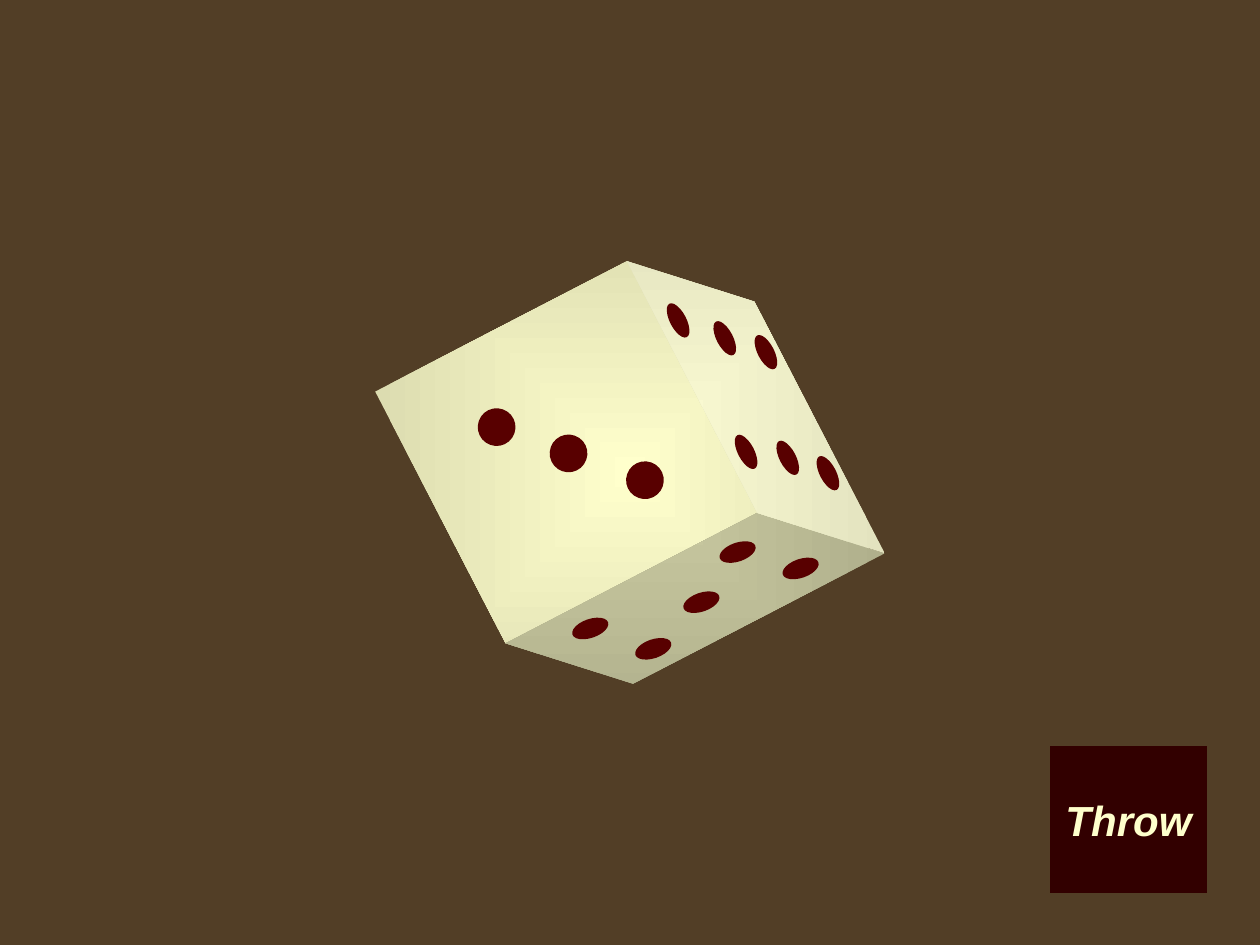
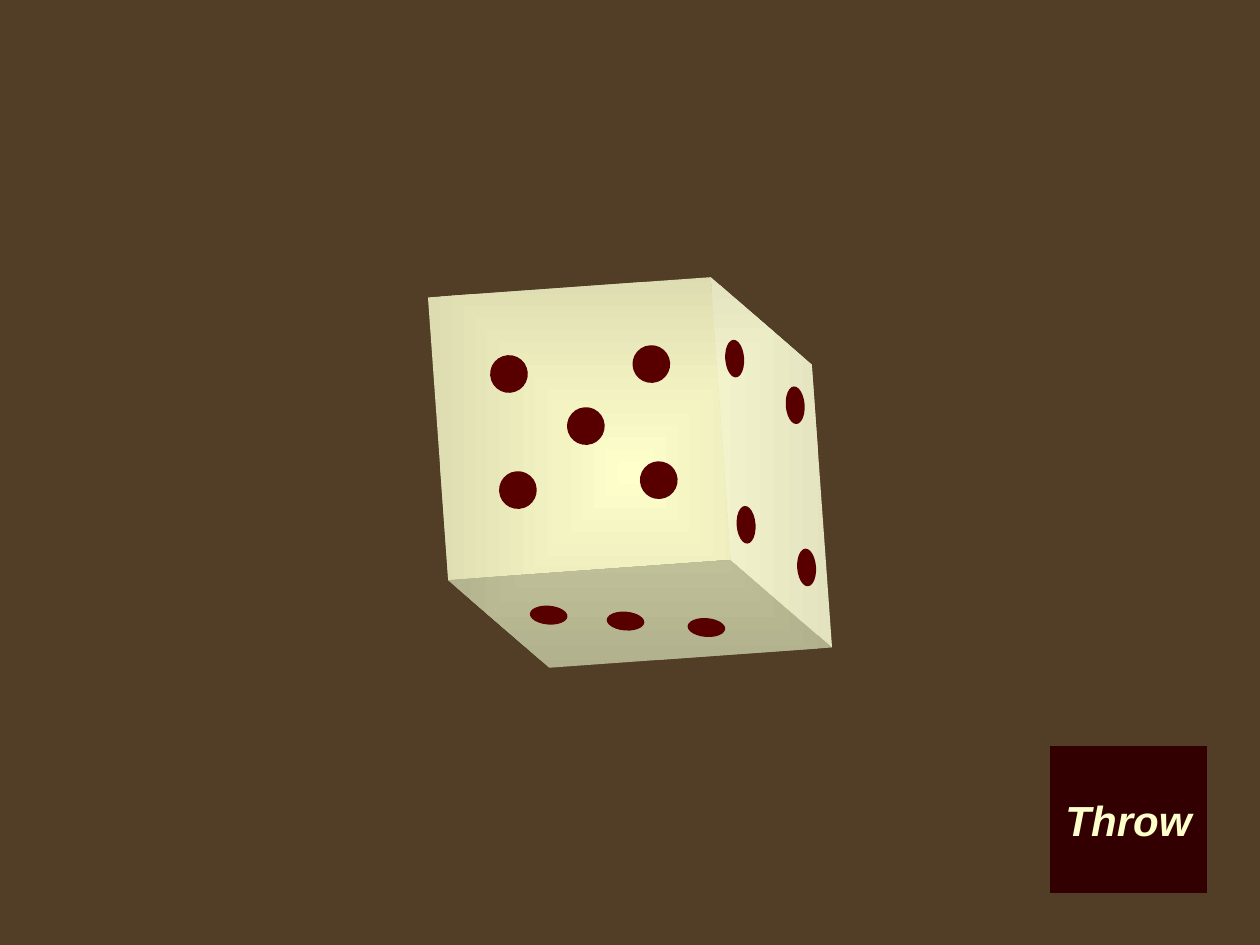
from dataclasses import dataclass

from lxml import etree
from pptx import Presentation
from pptx import util as u
from pptx.dml.color import RGBColor
from pptx.enum import shapes, text
from pptx.oxml.ns import qn


@dataclass(frozen=True)
class Theme:
    table: RGBColor = RGBColor.from_string("523E26")
    ivory: RGBColor = RGBColor.from_string("FFFFCC")
    ivory_edge: RGBColor = RGBColor.from_string("DCDCB0")
    pip: RGBColor = RGBColor.from_string("580000")
    button: RGBColor = RGBColor.from_string("320000")
    font: str = "Arial"
    button_size: int = 24


CUBE_SIDE = 7.62
ROUND, SLIM, FLAT, NARROW = (0.76, 0.76), (0.76, 0.33), (0.76, 0.38), (0.38, 0.76)

# Each throw: tilt of the cube, then its faces as (pip size, pip tilt, pip centres in cm)
THROWS = [
    (62.6, [
        (ROUND, 109.4, [(10.01, 8.61), (11.46, 9.14), (13, 9.68)]),
        (SLIM, 62.6, [(13.67, 6.46), (14.61, 6.82), (15.44, 7.1),
                      (15.04, 9.11), (15.88, 9.23), (16.69, 9.54)]),
        (NARROW, 71, [(14.87, 11.13), (16.14, 11.46), (14.14, 12.14),
                      (11.9, 12.67), (13.17, 13.08)]),
    ]),
    (85.9, [
        (ROUND, 85.9, [(10.26, 7.54), (13.13, 7.34), (11.81, 8.59),
                       (10.44, 9.88), (13.28, 9.68)]),
        (NARROW, 94.4, [(11.06, 12.4), (12.61, 12.52), (14.24, 12.65)]),
        (FLAT, 85.9, [(14.81, 7.23), (16.03, 8.17), (15.04, 10.58), (16.26, 11.44)]),
    ]),
]


class DiceDeck:
    def __init__(self, theme):
        self.theme = theme
        self.prs = Presentation()
        self.prs.slide_width, self.prs.slide_height = u.Cm(25.4), u.Cm(19.05)
        self.s = None

    def new_slide(self):
        self.s = self.prs.slides.add_slide(self.prs.slide_layouts[6])
        fill = self.s.background.fill
        fill.solid()
        fill.fore_color.rgb = self.theme.table

    def shape(self, kind, centre, size, color=None, tilt=0):
        """Add a borderless shape around its centre, in cm."""
        (x, y), (w, h) = centre, size
        sp = self.s.shapes.add_shape(
            kind, u.Cm(x - w / 2), u.Cm(y - h / 2), u.Cm(w), u.Cm(h))
        sp.rotation = tilt
        sp.shadow.inherit = False
        sp.line.fill.background()
        if color is not None:
            sp.fill.solid()
            sp.fill.fore_color.rgb = color
        return sp

    def cube(self, tilt):
        sp = self.shape(shapes.MSO_SHAPE.CUBE, (12.7, 9.525),
                        (CUBE_SIDE, CUBE_SIDE), tilt=tilt)
        sp.adjustments[0] = 0.25
        self.glow(sp)

    def glow(self, sp):
        """Fill with a gradient that spreads from the centre and ignores rotation."""
        sp.fill.gradient()
        stops = sp.fill.gradient_stops
        for stop, position, color in zip(
                stops, (0, 1), (self.theme.ivory, self.theme.ivory_edge)):
            stop.position = position
            stop.color.rgb = color
        grad = sp._element.spPr.find(qn("a:gradFill"))
        grad.set("rotWithShape", "0")
        path = etree.Element(qn("a:path"), {"path": "rect"})
        etree.SubElement(path, qn("a:fillToRect"), dict.fromkeys("ltrb", "50000"))
        grad.replace(grad.find(qn("a:lin")), path)

    def pips(self, size, tilt, centres):
        for centre in centres:
            self.shape(shapes.MSO_SHAPE.OVAL, centre, size, self.theme.pip, tilt)

    def button(self, label):
        sp = self.shape(shapes.MSO_SHAPE.ACTION_BUTTON_CUSTOM, (22.75, 16.52),
                        (3.18, 2.97), self.theme.button)
        tf = sp.text_frame
        tf.word_wrap = False
        tf.vertical_anchor = text.MSO_ANCHOR.MIDDLE
        p = tf.paragraphs[0]
        p.text = label
        p.alignment = text.PP_ALIGN.CENTER
        p.font.name = self.theme.font
        p.font.size = u.Pt(self.theme.button_size)
        p.font.bold = p.font.italic = True
        p.font.color.rgb = self.theme.ivory


def main():
    deck = DiceDeck(Theme())
    for tilt, faces in THROWS:
        deck.new_slide()
        deck.cube(tilt)
        for face in faces:
            deck.pips(*face)
        deck.button("Throw")
    deck.prs.save("out.pptx")


if __name__ == "__main__":
    main()
